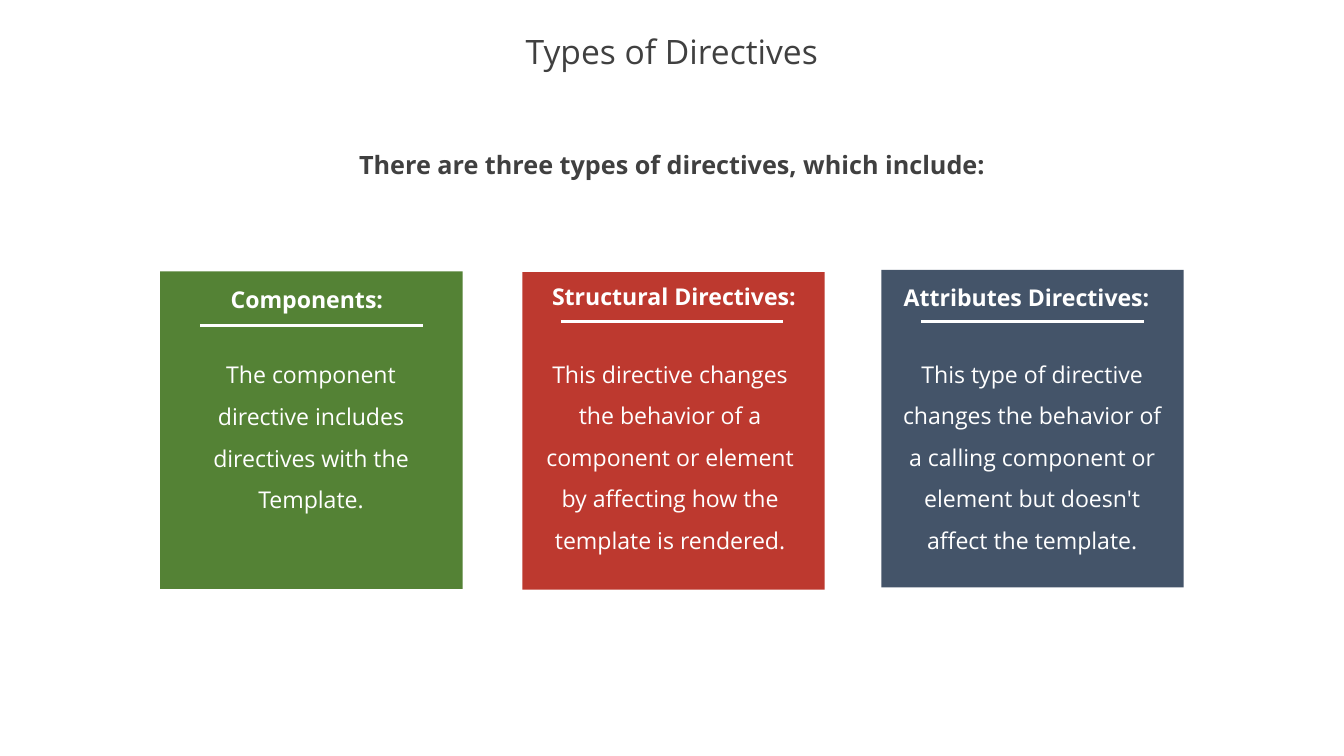
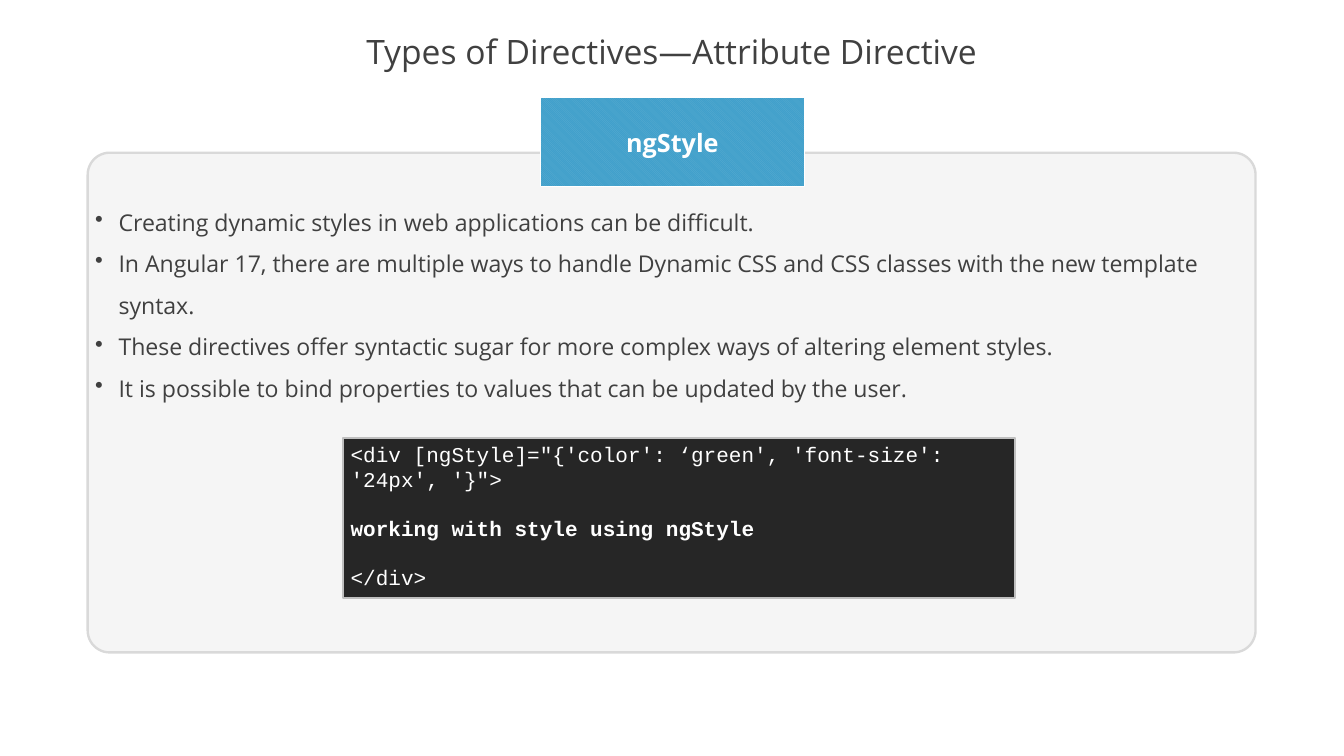
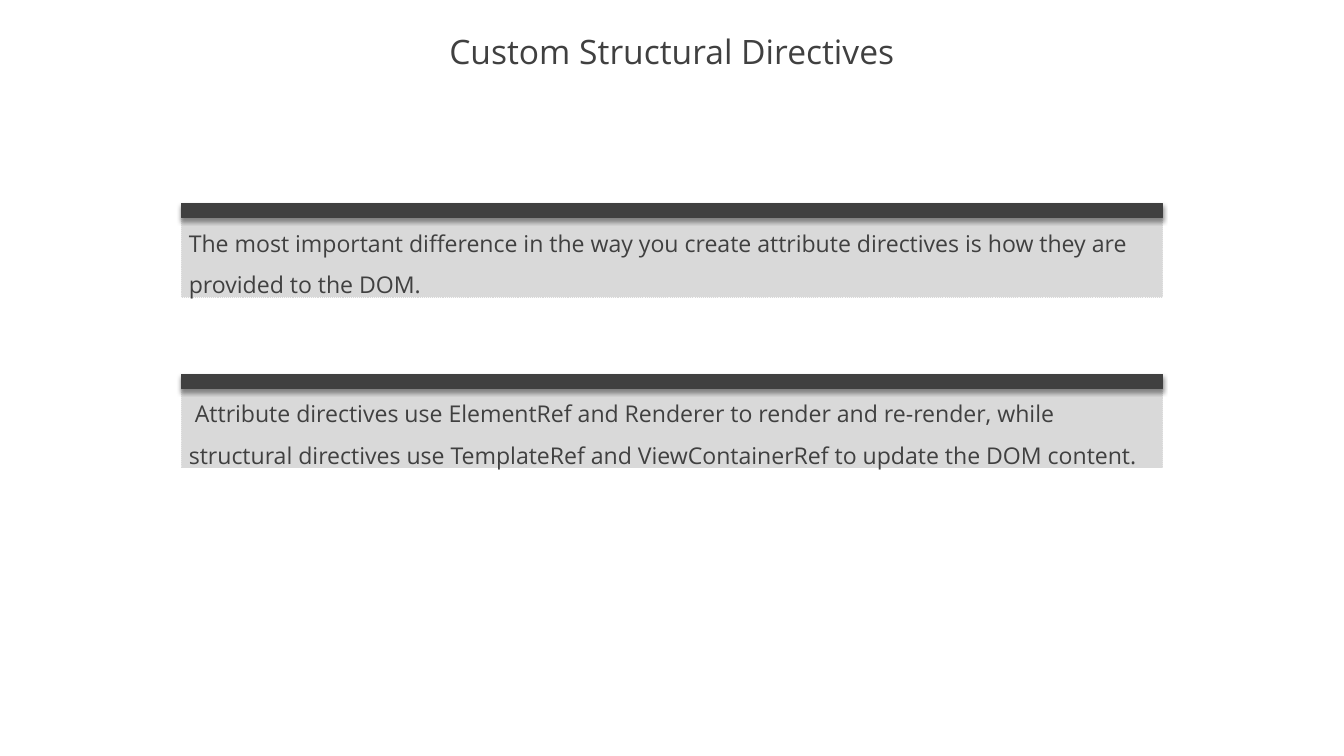
from dataclasses import dataclass

from lxml import etree
from pptx import Presentation
from pptx.dml.color import RGBColor
from pptx.enum.dml import MSO_LINE, MSO_PATTERN
from pptx.enum.shapes import MSO_CONNECTOR, MSO_SHAPE
from pptx.enum.text import MSO_ANCHOR, PP_ALIGN
from pptx.oxml.ns import qn
from pptx.util import Inches, Pt

RECT, ROUND = MSO_SHAPE.RECTANGLE, MSO_SHAPE.ROUNDED_RECTANGLE
STRAIGHT = MSO_CONNECTOR.STRAIGHT
DOTS, HATCH = MSO_LINE.ROUND_DOT, MSO_PATTERN.LIGHT_DOWNWARD_DIAGONAL
LEFT, CENTER = PP_ALIGN.LEFT, PP_ALIGN.CENTER
TOP, MIDDLE = MSO_ANCHOR.TOP, MSO_ANCHOR.MIDDLE

WIDTH, HEIGHT = 17.78, 10
SANS, MONO = "Open Sans", "Courier New"
INK, WHITE, GREY = "404040", "FFFFFF", "D9D9D9"
CODE_GAP = 22.66  # height of one line of code, in points

Box = tuple[float, float, float, float]


@dataclass
class Style:
    size: float = 22
    color: str = INK
    bold: bool = False
    align: PP_ALIGN = LEFT
    space: float | None = None
    font: str = SANS


@dataclass
class Card:
    color: str
    left: float
    top: float
    rule: tuple[float, float]
    head: str
    head_box: Box
    body: str
    body_box: Box


@dataclass
class Note:
    top: float
    text: str
    indent: float = 0


TITLE = Style(32, align=CENTER, space=0.9)
LEAD = Style(24, bold=True, align=CENTER)
HEAD = Style(color=WHITE, bold=True, align=CENTER)
BODY = Style(color=WHITE, align=CENTER, space=1.5)
TEXT = Style(space=1.5)
TAG = Style(24, WHITE, True, CENTER)
CODE = Style(20, WHITE, font=MONO)

CARDS = [
    Card("548235", 2.12, 3.59, (2.65, 4.3), "Components:", (2.68, 3.77, 2.94, 0.37),
         "The component directive includes directives with the Template.",
         (2.3, 4.59, 3.63, 2.22)),
    Card("BD392F", 6.91, 3.6, (7.42, 4.25), "Structural Directives:",
         (7.2, 3.74, 3.61, 0.37),
         "This directive changes the behavior of a component or element "
         "by affecting how the template is rendered.",
         (6.93, 4.58, 3.87, 2.78)),
    Card("445469", 11.66, 3.57, (12.19, 4.25), "Attributes Directives:",
         (11.7, 3.75, 3.94, 0.37),
         "This type of directive changes the behavior of a calling component "
         "or element but doesn't affect the template.",
         (11.76, 4.58, 3.79, 2.78)),
]
POINTS = [
    "Creating dynamic styles in web applications can be difficult.",
    "In Angular 17, there are multiple ways to handle Dynamic CSS and CSS classes "
    "with the new template syntax.",
    "These directives offer syntactic sugar for more complex ways of altering "
    "element styles.",
    "It is possible to bind properties to values that can be updated by the user.",
]
SNIPPET = [
    "<div [ngStyle]=\"{'color': ‘green', 'font-size': '24px', '}\">",
    "working with style using ngStyle",
    "</div>",
]
NOTES = [
    Note(2.69, "The most important difference in the way you create attribute "
               "directives is how they are provided to the DOM."),
    Note(4.95, "Attribute directives use ElementRef and Renderer to render and "
               "re-render, while structural directives use TemplateRef and "
               "ViewContainerRef to update the DOM content.", 0.08),
]


def rgb(color: str) -> RGBColor:
    return RGBColor.from_string(color)


def place(box: Box) -> list[int]:
    return [Inches(part) for part in box]


def indent(para, margin: float, first: float) -> None:
    props = para._p.get_or_add_pPr()
    props.set("marL", str(Inches(margin)))
    props.set("indent", str(Inches(first)))


def bullet(para) -> None:
    indent(para, 0.31, -0.31)
    etree.SubElement(para._p.get_or_add_pPr(), qn("a:buChar"), char="•")


def write(shape, lines: list[str], style: Style, anchor=TOP,
          sides: tuple[float, float] | None = None, marks: bool = False) -> list:
    """Fill a shape with text; sides replaces the default insets."""
    frame = shape.text_frame
    frame.word_wrap = True
    frame.vertical_anchor = anchor
    if sides:
        frame.margin_left, frame.margin_right = map(Inches, sides)
        frame.margin_top = frame.margin_bottom = 0
    frame.text = "\n".join(lines)
    for para in frame.paragraphs:
        if marks:
            bullet(para)
        para.alignment = style.align
        if style.space:
            para.line_spacing = style.space
        font = para.font
        font.name, font.size, font.bold = style.font, Pt(style.size), style.bold
        font.color.rgb = rgb(style.color)
    return list(frame.paragraphs)


def label(shapes, box: Box, lines: list[str], style: Style, **extra) -> None:
    write(shapes.add_textbox(*place(box)), lines, style, **extra)


def block(shapes, box: Box, fill: str, line: str | None = None,
          width: float = 1, kind=RECT):
    shape = shapes.add_shape(kind, *place(box))
    shape.shadow.inherit = False
    shape.fill.solid()
    shape.fill.fore_color.rgb = rgb(fill)
    if line:
        shape.line.color.rgb = rgb(line)
        shape.line.width = Pt(width)
    else:
        shape.line.fill.background()
    return shape


def fade(shape, percent: int) -> None:
    color = shape._element.spPr.find(qn("a:solidFill"))[0]
    etree.SubElement(color, qn("a:alpha"), val=str(percent * 1000))


def shade(shape) -> None:
    """Cast a soft shadow straight down."""
    effects = shape._element.spPr.find(qn("a:effectLst"))
    outer = etree.SubElement(effects, qn("a:outerShdw"), blurRad=str(Pt(4)),
                             dist=str(Pt(3)), dir="5400000", algn="t", rotWithShape="0")
    color = etree.SubElement(outer, qn("a:srgbClr"), val="000000")
    etree.SubElement(color, qn("a:alpha"), val="40000")


def draw_card(slide, card: Card) -> None:
    shapes = slide.shapes.add_group_shape().shapes
    block(shapes, (card.left, card.top, 4, 4.2), card.color)
    x, y = card.rule
    rule = shapes.add_connector(STRAIGHT, *place((x, y, x + 2.94, y)))
    rule.line.color.rgb = rgb(WHITE)
    rule.line.width = Pt(3)
    etree.SubElement(rule._element.spPr, qn("a:effectLst"))
    label(shapes, card.head_box, [card.head], HEAD, sides=(0, 0.18))
    label(shapes, card.body_box, [card.body], BODY, sides=(0.18, 0.18))


def draw_note(slide, note: Note) -> None:
    shapes = slide.shapes.add_group_shape().shapes
    panel = block(shapes, (2.4, note.top + 0.17, 12.98, 1.07), GREY, GREY, kind=ROUND)
    panel.adjustments[0] = 0
    panel.line.dash_style = DOTS
    para = write(panel, [note.text], TEXT, MIDDLE)[0]
    indent(para, 0, note.indent)
    shade(block(shapes, (2.4, note.top, 12.98, 0.19), INK, INK))


def new_slide(deck, title: str):
    slide = deck.slides.add_slide(deck.slide_layouts[6])
    label(slide.shapes, (0, 0.35, WIDTH, 0.73), [title], TITLE, anchor=MIDDLE)
    return slide


def types_slide(deck) -> None:
    slide = new_slide(deck, "Types of Directives")
    label(slide.shapes, (4.22, 1.93, 9.34, 0.5),
          ["There are three types of directives, which include:"], LEAD)
    for card in CARDS:
        draw_card(slide, card)


def style_slide(deck) -> None:
    shapes = new_slide(deck, "Types of Directives—Attribute Directive").shapes
    # Panel and points
    panel = block(shapes, (1.16, 2.02, 15.45, 6.61), GREY, GREY, 2.25, ROUND)
    panel.adjustments[0] = 0.044
    fade(panel, 25)
    label(shapes, (1.16, 2.52, 15.45, 2.82), POINTS, TEXT, marks=True)
    # Hatched tag
    tag = block(shapes, (7.15, 1.29, 3.49, 1.18), WHITE, WHITE)
    tag.fill.patterned()
    tag.fill.pattern = HATCH
    tag.fill.fore_color.rgb = rgb("5CADD2")
    tag.fill.back_color.rgb = rgb("41A0CB")
    write(tag, ["ngStyle"], TAG, MIDDLE)
    # Code
    code = block(shapes, (4.54, 5.79, 8.89, 2.12), "262626", "BFBFBF", 2.25)
    paras = write(code, SNIPPET, CODE)
    for para in paras[1:]:
        para.space_before = Pt(CODE_GAP)
    paras[1].font.bold = True


def custom_slide(deck) -> None:
    slide = new_slide(deck, "Custom Structural Directives")
    for note in NOTES:
        draw_note(slide, note)


def main() -> None:
    deck = Presentation()
    deck.slide_width, deck.slide_height = Inches(WIDTH), Inches(HEIGHT)
    types_slide(deck)
    style_slide(deck)
    custom_slide(deck)
    deck.save("out.pptx")


if __name__ == "__main__":
    main()
